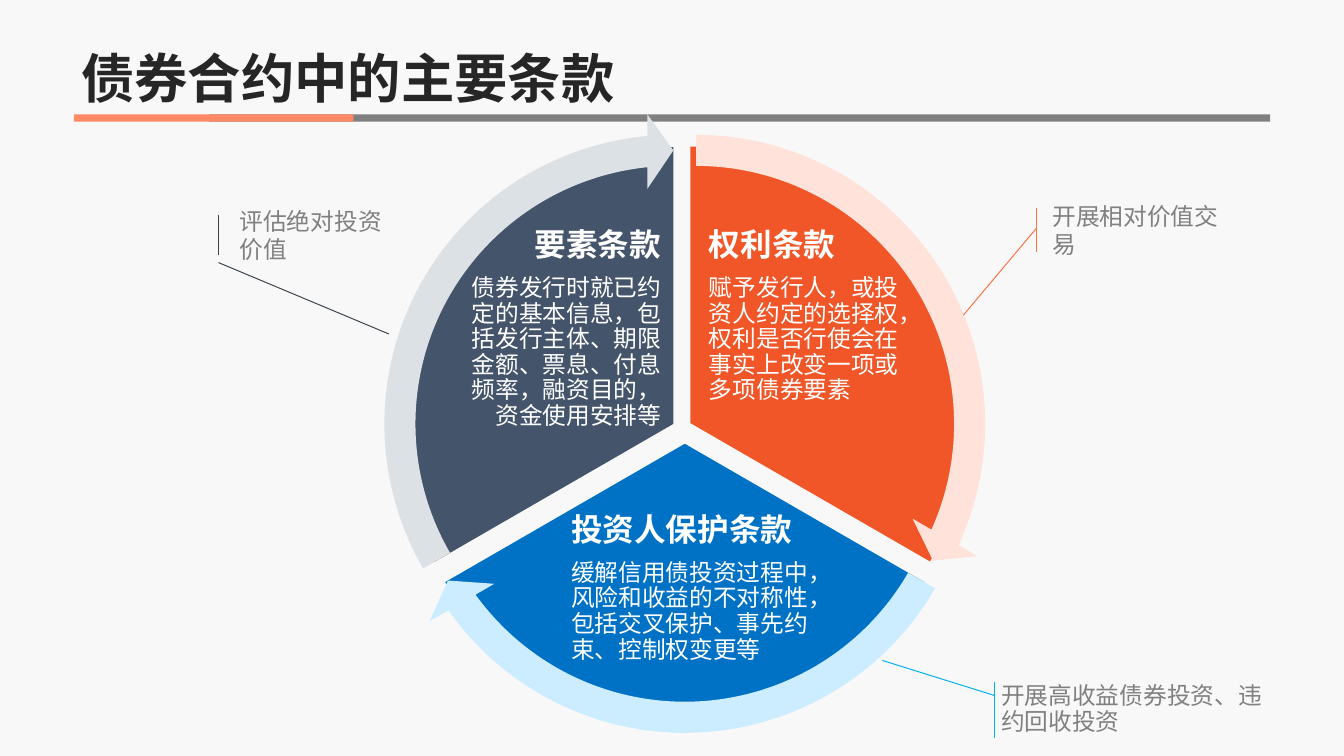
"""Build a slide on the three groups of clauses in a bond contract."""
from pptx import Presentation
from pptx.dml.color import RGBColor
from pptx.enum.shapes import MSO_SHAPE
from pptx.enum.text import MSO_ANCHOR, MSO_AUTO_SIZE, PP_ALIGN
from pptx.util import Inches, Pt

RECTANGLE, PIE = MSO_SHAPE.RECTANGLE, MSO_SHAPE.PIE
ARROW, CALLOUT = MSO_SHAPE.CIRCULAR_ARROW, MSO_SHAPE.LINE_CALLOUT_1_ACCENT_BAR
TOP, MIDDLE, BOTTOM = MSO_ANCHOR.TOP, MSO_ANCHOR.MIDDLE, MSO_ANCHOR.BOTTOM
LEFT, RIGHT = PP_ALIGN.LEFT, PP_ALIGN.RIGHT
FIXED = MSO_AUTO_SIZE.NONE

COLORS = {
    "page": "F8F8F8", "title": "262626", "gray": "808080", "accent": "FF8A65",
    "white": "FFFFFF", "orange": "F15628", "peach": "FFE2D9",
    "blue": "0072C6", "sky": "CCECFF", "slate": "44546A", "mist": "DCE1E6",
    "ink": "3B424B", "coral": "FF7043", "cyan": "00B0F0",
}
FONT = "Arial"
COLUMNS, ROWS = 189, 106.3
CELL = Inches(0.1)

TITLE = "债券合约中的主要条款"
TITLE_AREA = (10.4, 0, 168.2, 15.9)
BARS = [("gray", (29.4, 16.1, 149.2, 1)), ("accent", (10.4, 16.1, 39.3, 1))]

SECTORS = [
    {"head": "权利条款",
     "body": "赋予发行人，或投资人约定的选择权，权利是否行使会在事实上改变一项或多项债券要素",
     "fill": "orange", "rim": "peach", "pie": (97.1, 59.5), "ring": (97.9, 59.6),
     "area": (99.1, 31.6, 30.1, 29), "inset": 0.6, "anchor": TOP, "align": LEFT},
    {"head": "投资人保护条款",
     "body": "缓解信用债投资过程中，风险和收益的不对称性，包括交叉保护、事先约束、控制权变更等",
     "fill": "blue", "rim": "sky", "pie": (96.3, 62.4), "ring": (96.3, 62.4),
     "area": (79.6, 72.5, 37.2, 20.5), "inset": 0.7, "anchor": MIDDLE, "align": LEFT},
    {"head": "要素条款",
     "body": "债券发行时就已约定的基本信息，包括发行主体、期限金额、票息、付息频率，融资目的，资金使用安排等",
     "fill": "slate", "rim": "mist", "pie": (94.7, 59.6), "ring": (94.7, 59.6),
     "area": (63.9, 30.4, 29.6, 31.8), "inset": 0.5, "anchor": MIDDLE, "align": RIGHT},
]
PIE_RADIUS, RING_RADIUS = 38.9, 43.7
FULL_TURN, FIRST_ANGLE = 216, 162
SECTOR_ANGLE = FULL_TURN / len(SECTORS)
BAND, HEAD_ANGLE, HEAD_WIDTH = 0.05, 3.28, 0.06

CALLOUTS = [
    ("评估绝对投资价值", "ink", (32.7, 30.2, 24.7, 5.7), (1.18, -0.08, 2.94, 0.89), 1),
    ("开展相对价值交易", "coral", (147, 29.2, 26.2, 6.3), (0.47, -0.05, 2.4, -0.44), 1),
    ("开展高收益债券投资、违约回收投资", "cyan", (139.8, 95.9, 39.3, 7.8),
     (0.24, 0, -0.39, -0.4), 0.9),
]


def color(name):
    return RGBColor.from_string(COLORS[name])


def cells(area):
    return [round(value * CELL) for value in area]


def circle(center, radius):
    return (center[0] - radius, center[1] - radius, 2 * radius, 2 * radius)


def write(shape, lines, ink, anchor=MIDDLE, align=LEFT, spacing=0.9, inset=1, after=0):
    """Fill a shape with (text, size, bold) lines in one format."""
    frame = shape.text_frame
    frame.word_wrap, frame.auto_size = True, FIXED
    frame.vertical_anchor = anchor
    frame.margin_left = frame.margin_right = round(inset * CELL)
    frame.margin_top = frame.margin_bottom = round(min(inset, 0.5 if inset == 1 else inset) * CELL)
    for index, (text, size, bold) in enumerate(lines):
        para = frame.paragraphs[0] if index == 0 else frame.add_paragraph()
        para.alignment, para.line_spacing = align, spacing
        para.space_before, para.space_after = Pt(0), Pt(round(after * size))
        span = para.add_run()
        span.text = text
        span.font.name, span.font.size, span.font.bold = FONT, Pt(size), bold
        span.font.color.rgb = color(ink)


def add_preset(page, preset, area, fill=None, line=None, adjust=()):
    shape = page.shapes.add_shape(preset, *cells(area))
    shape.shadow.inherit = False
    if fill:
        shape.fill.solid()
        shape.fill.fore_color.rgb = color(fill)
    else:
        shape.fill.background()
    if line:
        shape.line.color.rgb = color(line)
        shape.line.width = Pt(1)
    else:
        shape.line.fill.background()
    for index, value in enumerate(adjust):
        shape.adjustments[index] = value
    return shape


def add_sector(page, index, sector):
    start = (FIRST_ANGLE + index * SECTOR_ANGLE) % FULL_TURN
    end = (start + SECTOR_ANGLE) % FULL_TURN
    add_preset(page, PIE, circle(sector["pie"], PIE_RADIUS), sector["fill"],
               adjust=(start, end))
    box = page.shapes.add_textbox(*cells(sector["area"]))
    write(box, [(sector["head"], 32, True), (sector["body"], 24, False)], "white",
          anchor=sector["anchor"], align=sector["align"], inset=sector["inset"], after=0.4)
    add_preset(page, ARROW, circle(sector["ring"], RING_RADIUS), sector["rim"],
               adjust=(BAND, HEAD_ANGLE, end - HEAD_ANGLE, start, HEAD_WIDTH))


def main():
    deck = Presentation()
    deck.slide_width, deck.slide_height = cells((COLUMNS, ROWS))
    page = deck.slides.add_slide(deck.slide_layouts[5])
    page.background.fill.solid()
    page.background.fill.fore_color.rgb = color("page")

    title = page.shapes.title
    title.left, title.top, title.width, title.height = cells(TITLE_AREA)
    write(title, [(TITLE, 54, True)], "title", anchor=BOTTOM)
    for fill, area in BARS:
        add_preset(page, RECTANGLE, area, fill)
    for index, sector in enumerate(SECTORS):
        add_sector(page, index, sector)
    for text, line, area, adjust, spacing in CALLOUTS:
        callout = add_preset(page, CALLOUT, area, line=line, adjust=adjust)
        write(callout, [(text, 24, False)], "gray", spacing=spacing)
    deck.save("out.pptx")


if __name__ == "__main__":
    main()
